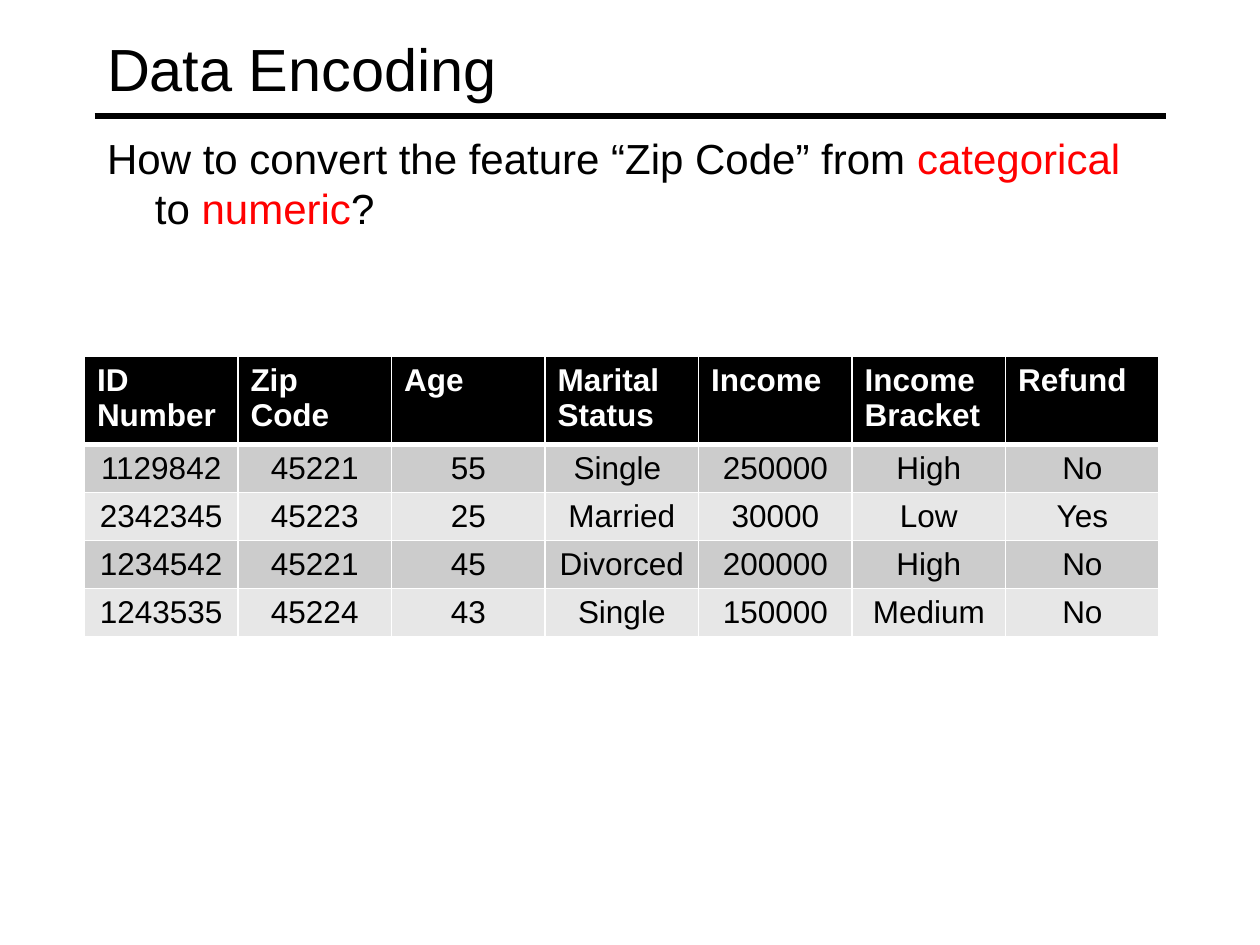
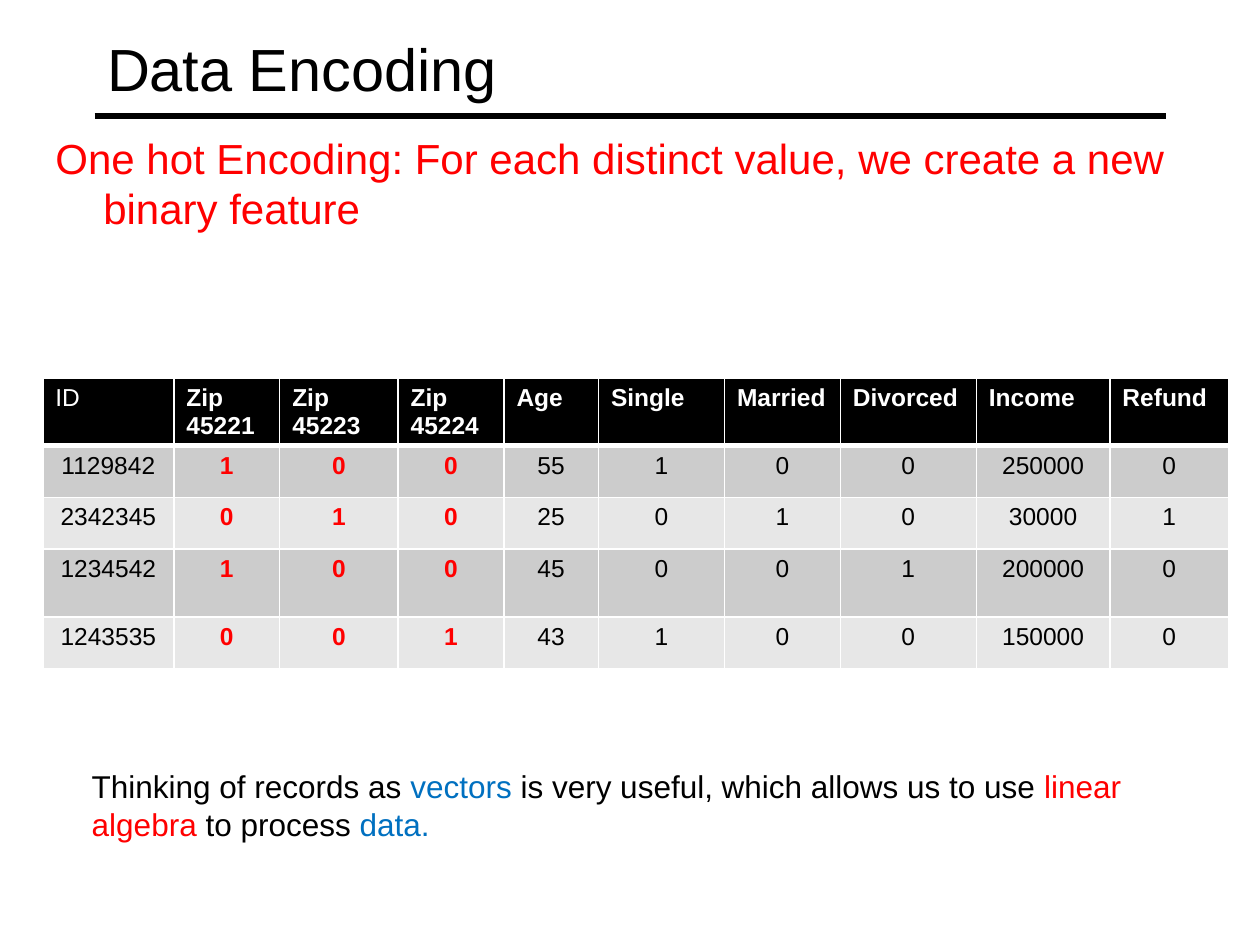
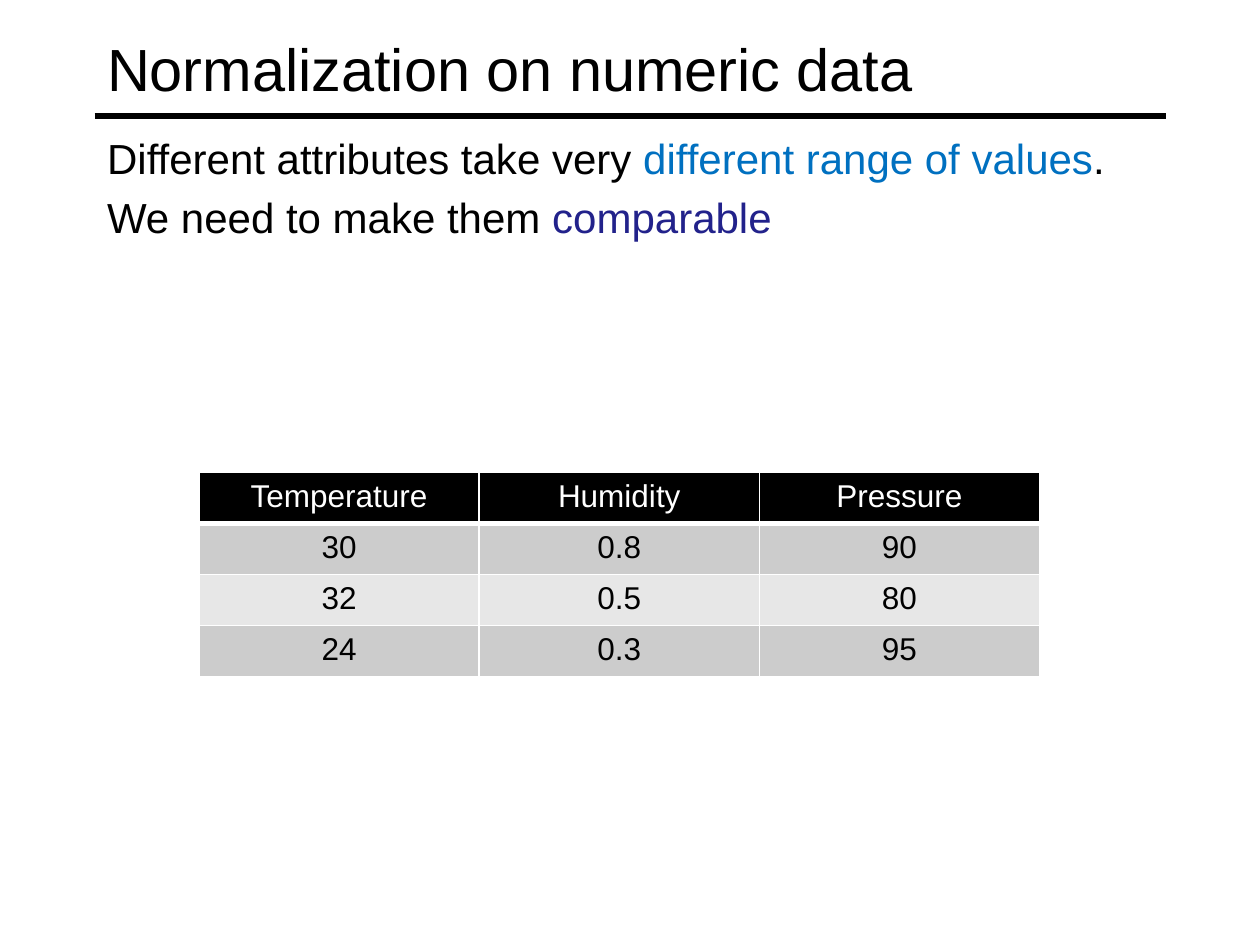
from pptx import Presentation
from pptx.dml.color import RGBColor
from pptx.enum.shapes import MSO_CONNECTOR
from pptx.enum.text import MSO_ANCHOR, MSO_AUTO_SIZE, PP_ALIGN
from pptx.oxml import parse_xml
from pptx.oxml.ns import nsdecls, qn
from pptx.util import Inches, Pt

BLACK, WHITE, RED, BLUE, NAVY = "000000", "FFFFFF", "FF0000", "0070C0", "22228B"
BANDS = ["CCCCCC", "E7E7E7"]


def color(fmt, value):
    if hasattr(fmt, "solid"):
        fmt.solid()
        fmt = fmt.fore_color
    else:
        fmt = fmt.color
    fmt.rgb = RGBColor.from_string(value)


def add_text(p, text, size=24, fill=BLACK, bold=False, align=PP_ALIGN.LEFT):
    p.alignment = align
    r = p.add_run()
    r.text = text
    r.font.name = "Arial"
    r.font.size = Pt(size)
    r.font.bold = bold
    color(r.font, fill)


slides = [
    {
        "title": "Data Encoding",
        "body_box": (0.75, 1, 8.5, 5.75),
        "body": [[("How to convert the feature “Zip Code” from ", BLACK), ("categorical ", RED),
                  ("to ", BLACK), ("numeric", RED), ("?", BLACK)]],
        "table_at": (0.67, 2.83),
        "cols": [8.53 / 7] * 7,
        "rows": [0.7] + [0.38] * 4,
        "size": 18,
        "header_align": PP_ALIGN.LEFT,
        "plain_headers": [],
        "red_cols": [],
        "cells": [
            ["ID Number", "Zip Code", "Age", "Marital Status", "Income", "Income Bracket", "Refund"],
            ["1129842", "45221", "55", "Single ", "250000", "High", "No"],
            ["2342345", "45223", "25", "Married", "30000", "Low", "Yes"],
            ["1234542", "45221", "45", "Divorced", "200000", "High", "No"],
            ["1243535", "45224", "43", "Single", "150000", "Medium", "No"],
        ],
    },
    {
        "title": "Data Encoding",
        "body_box": (0.34, 1, 9.42, 5.75),
        "body": [[("One hot Encoding: For each distinct value, we create a new binary feature", RED)]],
        "table_at": (0.34, 3),
        "cols": [1.04, 0.84, 0.94, 0.84, 0.75, 1, 0.92, 1.08, 1.06, 0.94],
        "rows": [0.53, 0.41, 0.41, 0.54, 0.41],
        "size": 14,
        "header_align": PP_ALIGN.LEFT,
        "plain_headers": ["ID"],
        "red_cols": [1, 2, 3],
        "cells": [
            ["ID", "Zip 45221", "Zip 45223", "Zip 45224", "Age",
             "Single", "Married", "Divorced", "Income", "Refund"],
            ["1129842", "1", "0", "0", "55", "1", "0", "0", "250000", "0"],
            ["2342345", "0", "1", "0", "25", "0", "1", "0", "30000", "1"],
            ["1234542", "1", "0", "0", "45", "0", "0", "1", "200000", "0"],
            ["1243535", "0", "0", "1", "43", "1", "0", "0", "150000", "0"],
        ],
        "note": [("Thinking of records as ", BLACK), ("vectors", BLUE),
                 (" is very useful, which allows us to use ", BLACK), ("linear algebra ", RED),
                 ("to process ", BLACK), ("data.", BLUE)],
    },
    {
        "title": "Normalization on numeric data",
        "body_box": (0.75, 1, 8.5, 5.75),
        "body": [[("Different attributes take very ", BLACK), ("different range of values", BLUE),
                  (".", BLACK)],
                 [("We need to make them ", BLACK), ("comparable", NAVY)]],
        "table_at": (1.58, 3.75),
        "cols": [6.67 / 3] * 3,
        "rows": [0.405] * 4,
        "size": 18,
        "header_align": PP_ALIGN.CENTER,
        "plain_headers": ["Temperature", "Humidity", "Pressure"],
        "red_cols": [],
        "cells": [
            ["Temperature", "Humidity", "Pressure"],
            ["30", "0.8", "90"],
            ["32", "0.5", "80"],
            ["24", "0.3", "95"],
        ],
    },
]

prs = Presentation()
prs.slide_width, prs.slide_height = Inches(10), Inches(7.5)

for data in slides:
    s = prs.slides.add_slide(prs.slide_layouts[1])

    rule = s.shapes.add_connector(
        MSO_CONNECTOR.STRAIGHT, Inches(0.75), Inches(0.92), Inches(9.25), Inches(0.92))
    color(rule.line, BLACK)
    rule.line.width = Pt(3)
    rule._element.spPr.append(parse_xml(f"<a:effectLst {nsdecls('a')}/>"))

    title, body = s.shapes.title, s.placeholders[1]
    for sp, box in ((title, (0.75, 0.08, 8.5, 0.92)), (body, data["body_box"])):
        sp.left, sp.top, sp.width, sp.height = [Inches(v) for v in box]
        sp.text_frame.word_wrap = True
        sp.text_frame.auto_size = MSO_AUTO_SIZE.NONE
    title.text_frame.vertical_anchor = MSO_ANCHOR.MIDDLE
    add_text(title.text_frame.paragraphs[0], data["title"], size=34)

    tf = body.text_frame
    for i, parts in enumerate(data["body"]):
        p = tf.add_paragraph() if i else tf.paragraphs[0]
        pPr = p._p.get_or_add_pPr()
        pPr.set("marL", str(Inches(0.38)))
        pPr.set("indent", str(-Inches(0.38)))
        pPr.append(parse_xml(f"<a:buNone {nsdecls('a')}/>"))
        for text, fill in parts:
            add_text(p, text, fill=fill)

    left, top = data["table_at"]
    cols, rows = data["cols"], data["rows"]
    table = s.shapes.add_table(len(rows), len(cols), Inches(left), Inches(top),
                               Inches(sum(cols)), Inches(sum(rows))).table
    for col, width in zip(table.columns, cols):
        col.width = Inches(width)
    for i, (row, height) in enumerate(zip(table.rows, rows)):
        row.height = Inches(height)
        for j, cell in enumerate(row.cells):
            text = data["cells"][i][j]
            p = cell.text_frame.paragraphs[0]
            if i:
                red = j in data["red_cols"]
                add_text(p, text, size=data["size"], fill=RED if red else BLACK,
                         bold=red, align=PP_ALIGN.CENTER)
                color(cell.fill, BANDS[(i - 1) % 2])
                continue
            add_text(p, text, size=data["size"], fill=WHITE,
                     bold=text not in data["plain_headers"], align=data["header_align"])
            color(cell.fill, BLACK)
            tcPr = cell._tc.get_or_add_tcPr()
            for k, (side, weight) in enumerate((("L", 1), ("R", 1), ("T", 1), ("B", 3))):
                tcPr.insert(k, parse_xml(
                    f'<a:ln{side} {nsdecls("a")} w="{Pt(weight)}"><a:solidFill>'
                    f'<a:srgbClr val="{WHITE}"/></a:solidFill></a:ln{side}>'))

    if "note" in data:
        tf = s.shapes.add_textbox(Inches(0.63), Inches(6.04), Inches(8.74), Inches(0.71)).text_frame
        tf.word_wrap = True
        tf.auto_size = MSO_AUTO_SIZE.SHAPE_TO_FIT_TEXT
        for text, fill in data["note"]:
            add_text(tf.paragraphs[0], text, size=18, fill=fill)

prs.save("out.pptx")
